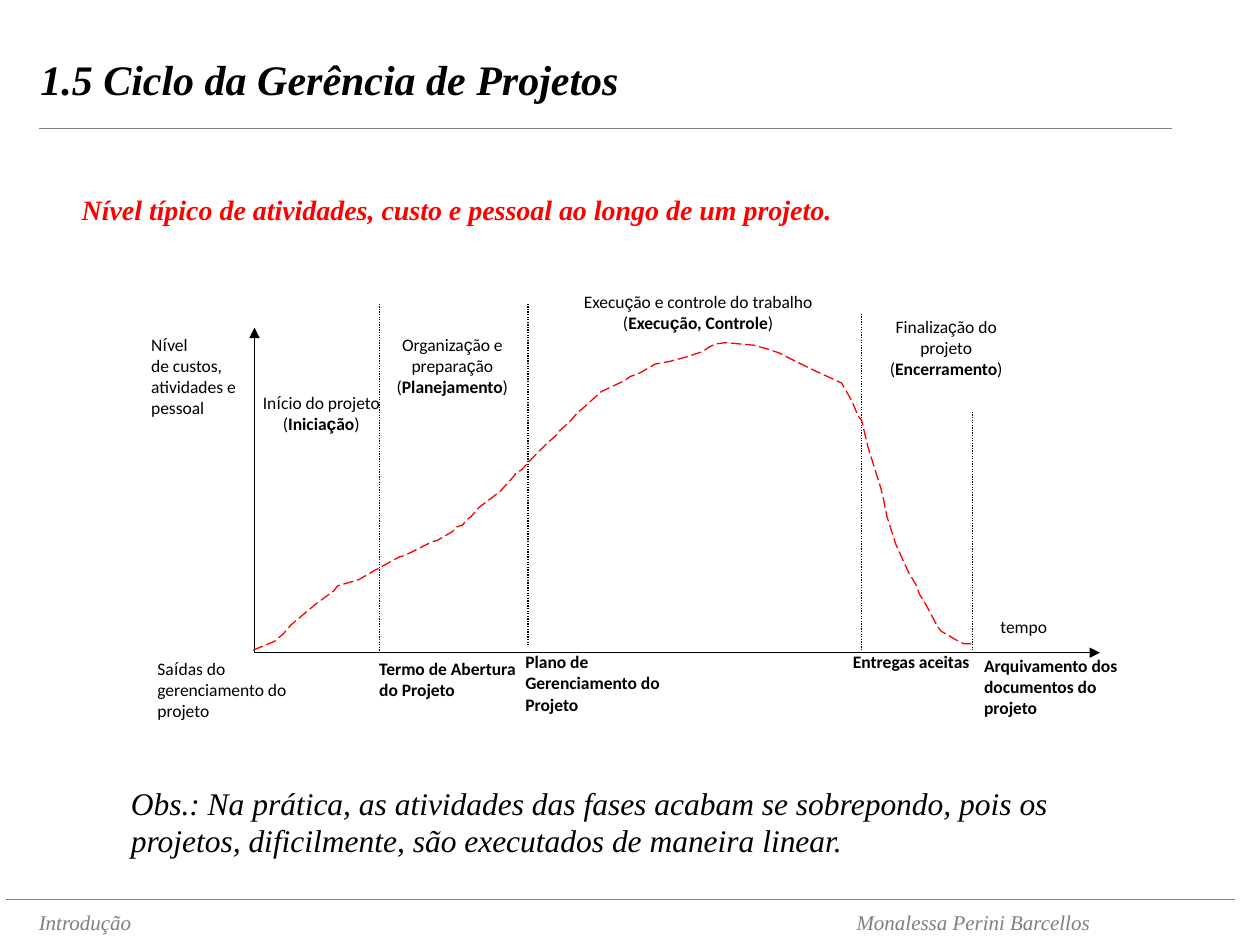
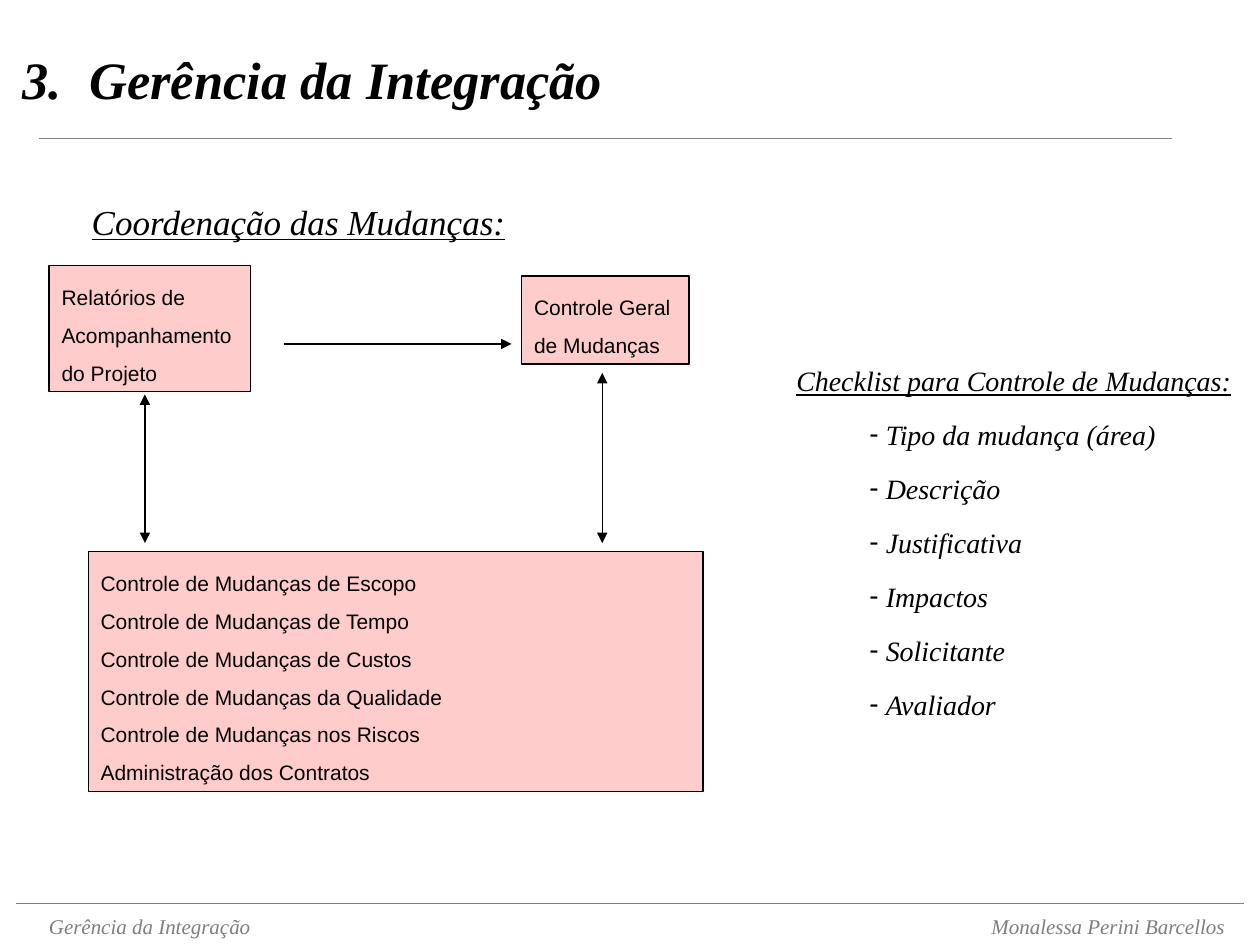
from itertools import groupby
from lxml.etree import SubElement
from pptx import Presentation
from pptx.dml.color import RGBColor
from pptx.enum.dml import MSO_LINE
from pptx.enum.shapes import MSO_CONNECTOR, MSO_SHAPE
from pptx.enum.text import MSO_ANCHOR, MSO_AUTO_SIZE, PP_ALIGN
from pptx.oxml.ns import qn
from pptx.util import Inches, Pt

COLORS = {"ink": "000000", "gray": "7F7F7F", "red": "FF0000",
          "pink": "FFCCCC", "white": "FFFFFF"}
SERIF, SANS, LABEL = "Times New Roman", "Arial", "Calibri"
AUTHOR = "Monalessa Perini Barcellos"

CURVE = [
    (201, 516), (218, 509), (225, 503), (231, 496), (250, 480), (254, 477),
    (258, 474), (265, 469), (268, 465), (285, 460), (297, 453), (317, 442),
    (321, 441), (343, 430), (347, 429), (359, 422), (363, 418), (367, 417),
    (370, 413), (374, 410), (380, 403), (397, 390), (407, 379), (410, 375),
    (414, 373), (423, 363), (434, 352), (441, 346), (444, 342), (452, 335),
    (458, 328), (465, 322), (477, 311), (496, 302), (500, 299), (508, 296),
    (520, 289), (531, 287), (546, 283), (558, 279), (562, 276), (568, 273),
    (576, 272), (598, 274), (609, 277), (618, 280), (640, 291), (644, 293),
    (668, 304), (676, 318), (681, 330), (684, 334), (689, 355), (699, 387),
    (701, 395), (704, 410), (711, 432), (721, 454), (727, 464), (730, 472),
    (735, 480), (744, 497), (747, 501), (759, 508), (765, 511), (771, 511)]


def color(name):
    return RGBColor.from_string(COLORS[name])


def mark(para, tag, **attrs):
    props = para._p.get_or_add_pPr()
    item = SubElement(props, qn("a:" + tag), **attrs)
    font = props.find(qn("a:defRPr"))
    if font is not None:
        props.append(font)
    return item


def tab(para, pos):
    tabs = mark(para, "tabLst")
    SubElement(tabs, qn("a:tab"), pos=str(Inches(pos)), algn="l")


def indent(para, left, hang):
    props = para._p.get_or_add_pPr()
    props.set("marL", str(Inches(left)))
    props.set("indent", str(-Inches(hang)))


class Deck:
    def __init__(self):
        self.prs = Presentation()
        self.prs.slide_width = Inches(10)
        self.prs.slide_height = Inches(7.5)

    def start(self, layout, title, size, left, width, rule):
        self.slide = self.prs.slides.add_slide(self.prs.slide_layouts[layout])
        self.shapes = self.slide.shapes
        head = self.shapes.title
        self.place(head, (left, 0, width, 1.25))
        para, = self.set_text(head, [title], size=size, bold=True, italic=True)
        head.text_frame.vertical_anchor = MSO_ANCHOR.MIDDLE
        self.line((0.31, rule), (9.3, rule), "gray", 1)
        return para

    def place(self, shape, box):
        shape.left, shape.top, shape.width, shape.height = map(Inches, box)

    def set_text(self, shape, lines, font=SERIF, ink="ink",
                 align=PP_ALIGN.LEFT, space=1, before=0, inset=(0.1, 0.05),
                 size=12, **style):
        frame = shape.text_frame
        frame.word_wrap = True
        frame.auto_size = MSO_AUTO_SIZE.NONE
        frame.vertical_anchor = MSO_ANCHOR.TOP
        frame.margin_left = frame.margin_right = Inches(inset[0])
        frame.margin_top = frame.margin_bottom = Inches(inset[1])
        paras = []
        for i, line in enumerate(lines):
            para = frame.add_paragraph() if i else frame.paragraphs[0]
            para.alignment = align
            para.line_spacing = space
            para.space_before = Pt(before if i else 0)
            self.add_runs(para, line, font == LABEL)
            para.font.name = font
            para.font.color.rgb = color(ink)
            para.font.size = Pt(size)
            for key, value in style.items():
                setattr(para.font, key, value)
            paras.append(para)
        return paras

    def add_runs(self, para, line, mixed):
        for i, part in enumerate(line.split("*")):
            for odd, chars in groupby(part, lambda c: mixed and c in "íç"):
                run = para.add_run()
                run.text = "".join(chars)
                if odd:
                    run.font.name = SANS
                if i % 2:
                    run.font.bold = True

    def text(self, box, lines, **style):
        shape = self.shapes.add_textbox(*map(Inches, box))
        return self.set_text(shape, lines, **style)

    def label(self, box, lines, **style):
        return self.text(box, lines, font=LABEL, size=10,
                         inset=(0.08, 0.04), **style)

    def rect(self, box, lines, fill, line=None, **style):
        shape = self.shapes.add_shape(MSO_SHAPE.RECTANGLE, *map(Inches, box))
        shape.shadow.inherit = False
        shape.fill.solid()
        shape.fill.fore_color.rgb = color(fill)
        if line:
            shape.line.color.rgb = color(line)
            shape.line.width = Pt(0.75)
        else:
            shape.line.fill.background()
        self.set_text(shape, lines, **style)

    def line(self, start, end, ink="ink", width=0.75, dash=None, ends=()):
        link = self.shapes.add_connector(
            MSO_CONNECTOR.STRAIGHT, *map(Inches, start + end))
        link.line.color.rgb = color(ink)
        link.line.width = Pt(width)
        if dash:
            link.line.dash_style = dash
        props = link._element.spPr
        for name in ends:
            SubElement(props.find(qn("a:ln")), qn("a:" + name), type="triangle")
        SubElement(props, qn("a:effectLst"))

    def curve(self, points):
        trace = self.shapes.build_freeform(*points[0], scale=Inches(0.01))
        trace.add_line_segments(points[1:], close=False)
        shape = trace.convert_to_shape()
        shape.shadow.inherit = False
        shape.fill.background()
        shape.line.color.rgb = color("red")
        shape.line.width = Pt(0.75)
        shape.line.dash_style = MSO_LINE.LONG_DASH

    def footer(self, topic, left, top, stop, rule):
        y = top - 0.03
        self.line((rule[0], y), (rule[1], y), "gray")
        para, = self.text((left, top, 9.7, 0.3), [topic + "\t" + AUTHOR],
                          ink="gray", size=12, italic=True)
        tab(para, stop)


def cycle(deck):
    deck.start(5, "1.5 Ciclo da Gerência de Projetos", 24, 0.22, 9.23, 1.02)
    deck.footer("Introdução", 0.21, 7.17, 6.49, (0.05, 9.8))
    deck.text((0.55, 1.48, 9.45, 0.37),
              ["Nível típico de atividades, custo e pessoal ao longo de um "
               "projeto."], ink="red", size=16, bold=True, italic=True)

    for end in ((2.02, 2.6), (8.73, 5.18)):
        deck.line((2.02, 5.18), end, ends=["tailEnd"])
    deck.label((7.86, 4.85, 0.68, 0.33), ["tempo"])
    deck.label((1.12, 2.61, 1.1, 1.36),
               ["Nível", "de custos, atividades e pessoal"])

    for x, top, low in ((3.01, 2.41, 5.18), (4.19, 2.41, 5.13),
                        (6.84, 2.49, 5.18), (7.72, 2.47, 5.16)):
        deck.line((x, top), (x, low), dash=MSO_LINE.ROUND_DOT)
    deck.curve(CURVE)

    for x, y, width, name, phase in (
            (2, 3.07, 1.1, "Início do projeto", "Iniciação"),
            (2.94, 2.61, 1.3, "Organização e preparação", "Planejamento"),
            (4.33, 2.27, 2.42, "Execução e controle do trabalho",
             "Execução, Controle")):
        deck.label((x, y, width, 0.79), [name, f"(*{phase}*)"],
                   align=PP_ALIGN.CENTER)
    deck.rect((6.86, 2.47, 1.3, 0.79),
              ["Finalização do projeto", "(*Encerramento*)"], "white",
              font=LABEL, size=10, inset=(0.08, 0.04), align=PP_ALIGN.CENTER)

    for x, y, width, name, bold in (
            (1.17, 5.18, 1.26, "Saídas do gerenciamento do projeto", False),
            (2.93, 5.18, 1.26, "Termo de Abertura do Projeto", True),
            (4.09, 5.13, 1.26, "Plano de Gerenciamento do Projeto", True),
            (6.69, 5.13, 1.26, "Entregas aceitas", True),
            (7.73, 5.16, 1.41, "Arquivamento dos documentos do projeto",
             True)):
        deck.label((x, y, width, 0.69), [name], bold=bold)

    deck.text((0.94, 6.17, 8.1, 0.7),
              ["Obs.: Na prática, as atividades das fases acabam se "
               "sobrepondo, pois os projetos, dificilmente, são executados "
               "de maneira linear."], size=18, italic=True)


def changes(deck):
    title = deck.start(1, "3.\tGerência da Integração", 30, 0.08, 9.92, 1.1)
    tab(title, 0.53)
    deck.footer("Gerência da Integração", 0.29, 7.2, 7.48, (0.13, 9.87))
    deck.text((0.63, 1.41, 9.3, 0.79), ["Coordenação das Mudanças:"],
              size=20, italic=True, underline=True, space=1.4)

    control = "Controle de Mudanças "
    areas = ["de Escopo", "de Tempo", "de Custos", "da Qualidade",
             "nos Riscos"]
    for box, lines in (
            ((0.39, 2.11, 1.6, 1),
             ["Relatórios de", "Acompanhamento", "do Projeto"]),
            ((4.14, 2.19, 1.33, 0.7), ["Controle Geral", "de Mudanças"]),
            ((0.7, 4.38, 4.88, 1.9),
             [control + area for area in areas]
             + ["Administração dos Contratos"])):
        deck.rect(box, lines, "pink", "ink", font=SANS, size=12, space=1.5)

    both = ["headEnd", "tailEnd"]
    deck.line((2.25, 2.73), (4.06, 2.73), ends=["tailEnd"])
    deck.line((1.15, 3.13), (1.15, 4.31), ends=both)
    deck.line((4.78, 2.96), (4.78, 4.31), ends=both)

    body = deck.slide.placeholders[1]
    deck.place(body, (6.22, 2.73, 3.78, 3.14))
    lines = ["Checklist para Controle de Mudanças:", "Tipo da mudança (área)",
             "Descrição", "Justificativa", "Impactos", "Solicitante",
             "Avaliador"]
    head, *items = deck.set_text(body, lines, size=16, italic=True,
                                 space=1.4, before=4)
    head.font.underline = True
    indent(head, 0, 0)
    mark(head, "buNone")
    for item in items:
        indent(item, 0.71, 0.13)
        mark(item, "buChar", char="-")


def main():
    deck = Deck()
    cycle(deck)
    changes(deck)
    deck.prs.save("out.pptx")


if __name__ == "__main__":
    main()
